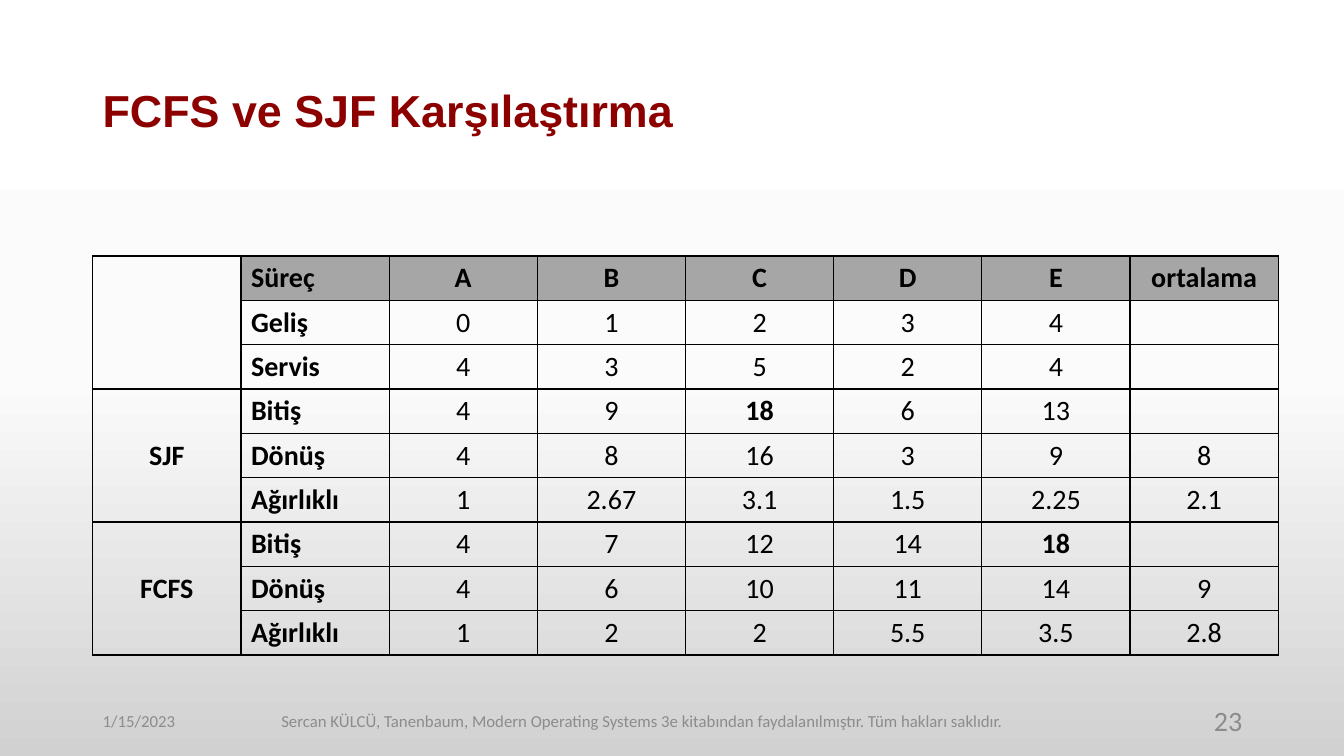
from copy import deepcopy
from dataclasses import dataclass

from lxml import etree
from pptx import Presentation
from pptx import util as u
from pptx.dml.color import RGBColor
from pptx.enum import text
from pptx.oxml import ns


@dataclass(frozen=True)
class Theme:
    heading_font: str = "Arial"
    body_font: str = "Calibri"
    title: str = "8C0000"
    ink: str = "000000"
    muted: str = "8C8C8C"
    header_fill: str = "A6A6A6"
    background: tuple = ((0, "FFFFFF"), (0.5, "FBFBFB"), (1, "D1D1D1"))
    title_size: int = 32
    table_size: int = 20
    footer_size: int = 12
    number_size: int = 20
    border_width: int = 1


THEME = Theme()
LEFT, CENTER, RIGHT = text.PP_ALIGN.LEFT, text.PP_ALIGN.CENTER, text.PP_ALIGN.RIGHT

HEADER = ["Süreç", "A", "B", "C", "D", "E", "ortalama"]
GROUPS = [
    ("", [HEADER,
          ["Geliş", "0", "1", "2", "3", "4", ""],
          ["Servis", "4", "3", "5", "2", "4", ""]]),
    ("SJF", [["Bitiş", "4", "9", "18", "6", "13", ""],
             ["Dönüş", "4", "8", "16", "3", "9", "8"],
             ["Ağırlıklı", "1", "2.67", "3.1", "1.5", "2.25", "2.1"]]),
    ("FCFS", [["Bitiş", "4", "7", "12", "14", "18", ""],
              ["Dönüş", "4", "6", "10", "11", "14", "9"],
              ["Ağırlıklı", "1", "2", "2", "5.5", "3.5", "2.8"]]),
]
LAST_FINISH = "18"


def write(frame, words, *, size, color=THEME.ink, font=THEME.body_font,
          bold=False, align=LEFT, spacing=None):
    paragraph = frame.paragraphs[0]
    paragraph.alignment = align
    if spacing:
        paragraph.line_spacing = spacing
    run = paragraph.add_run()
    run.text = words
    run.font.name = font
    run.font.size = u.Pt(size)
    run.font.bold = bold
    run.font.color.rgb = RGBColor.from_string(color)


def add_text(slide, box, words, **style):
    """Add a vertically centred text box; box is left, top, width, height in inches."""
    shape = slide.shapes.add_textbox(*map(u.Inches, box))
    frame = shape.text_frame
    frame.word_wrap = True
    frame.vertical_anchor = text.MSO_ANCHOR.MIDDLE
    write(frame, words, **style)


def paint_background(slide):
    fill = slide.background.fill
    fill.gradient()
    fill.gradient_angle = 270
    stop_list = fill._fill._gradFill.find(ns.qn("a:gsLst"))
    stop_list.append(deepcopy(stop_list[-1]))
    for stop, (position, color) in zip(fill.gradient_stops, THEME.background):
        stop.position = position
        stop.color.rgb = RGBColor.from_string(color)


def add_borders(cell):
    properties = cell._tc.get_or_add_tcPr()
    for index, side in enumerate(("lnL", "lnR", "lnT", "lnB")):
        line = etree.Element(ns.qn(f"a:{side}"), w=str(u.Pt(THEME.border_width)))
        fill = etree.SubElement(line, ns.qn("a:solidFill"))
        etree.SubElement(fill, ns.qn("a:srgbClr"), val=THEME.ink)
        properties.insert(index, line)


def add_comparison_table(slide, box):
    left, top, width, height = map(u.Inches, box)
    row_count = sum(len(rows) for _, rows in GROUPS)
    column_count = len(HEADER) + 1
    table = slide.shapes.add_table(row_count, column_count, left, top, width, height).table
    table.first_row = table.horz_banding = False
    for cell in table.iter_cells():
        cell.fill.background()
        add_borders(cell)

    row_index = 0
    for group, rows in GROUPS:
        group_cell = table.cell(row_index, 0)
        group_cell.merge(table.cell(row_index + len(rows) - 1, 0))
        group_cell.vertical_anchor = text.MSO_ANCHOR.MIDDLE
        if group:
            write(group_cell.text_frame, group, size=THEME.table_size, bold=True, align=CENTER)
        for row in rows:
            for column, words in enumerate(row):
                cell = table.cell(row_index, column + 1)
                if row is HEADER:
                    cell.fill.solid()
                    cell.fill.fore_color.rgb = RGBColor.from_string(THEME.header_fill)
                if words:
                    write(cell.text_frame, words, size=THEME.table_size,
                          bold=row is HEADER or column == 0 or words == LAST_FINISH,
                          align=CENTER if column else LEFT)
            row_index += 1


def add_footer(slide, box):
    left, top, width, height = box
    side_width = 3
    add_text(slide, (left, top, side_width, height), "1/15/2023",
             size=THEME.footer_size, color=THEME.muted)
    add_text(slide, (left + 1.66, top, 7.58, height),
             "Sercan KÜLCÜ, Tanenbaum, Modern Operating Systems 3e kitabından "
             "faydalanılmıştır. Tüm hakları saklıdır.",
             size=THEME.footer_size, color=THEME.muted, align=CENTER)
    add_text(slide, (left + width - side_width, top, side_width, height), "23",
             size=THEME.number_size, color=THEME.muted, align=RIGHT)


def main():
    presentation = Presentation()
    presentation.slide_width = u.Inches(13.33)
    presentation.slide_height = u.Inches(7.5)
    slide = presentation.slides.add_slide(presentation.slide_layouts[6])
    paint_background(slide)
    add_text(slide, (0.92, 0.4, 11.5, 1.45), "FCFS ve SJF Karşılaştırma",
             size=THEME.title_size, color=THEME.title, font=THEME.heading_font,
             bold=True, spacing=0.9)
    add_footer(slide, (0.92, 6.95, 11.5, 0.4))
    add_comparison_table(slide, (0.92, 2.54, 11.76, 3.96))
    presentation.save("out.pptx")


if __name__ == "__main__":
    main()
